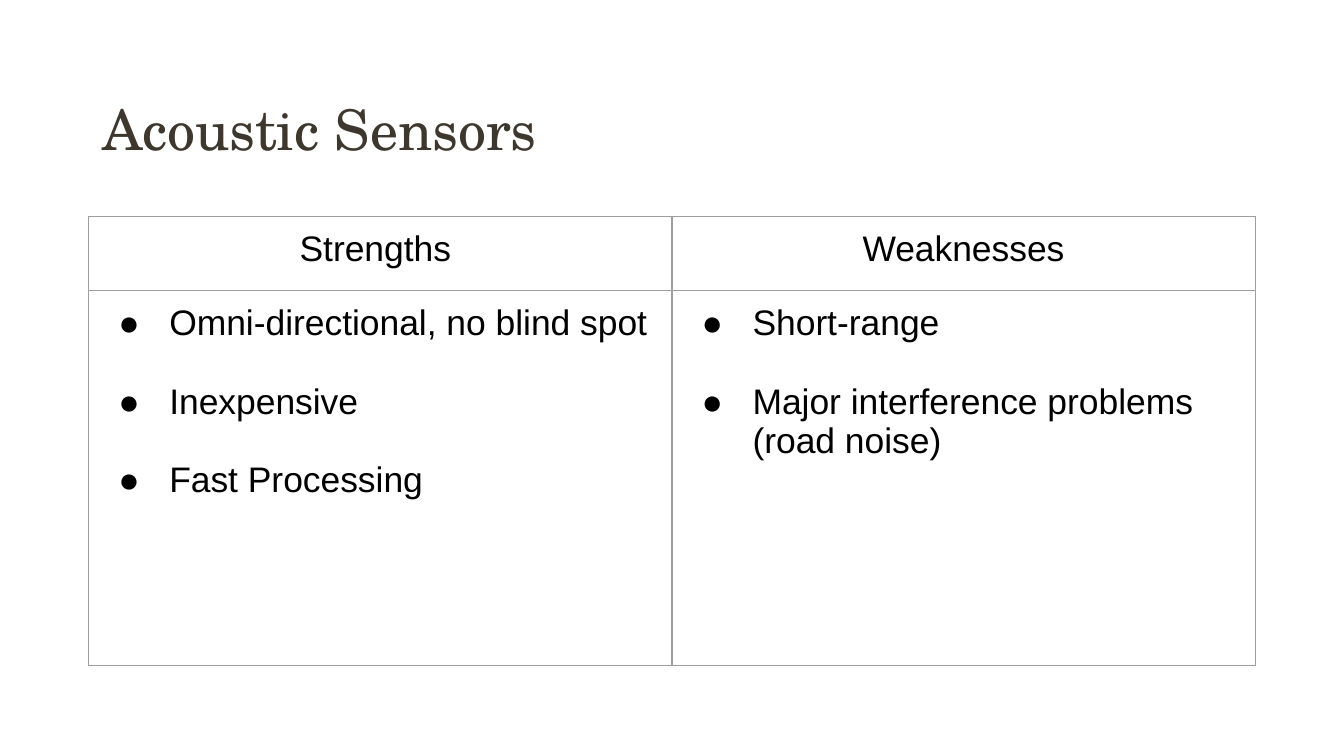
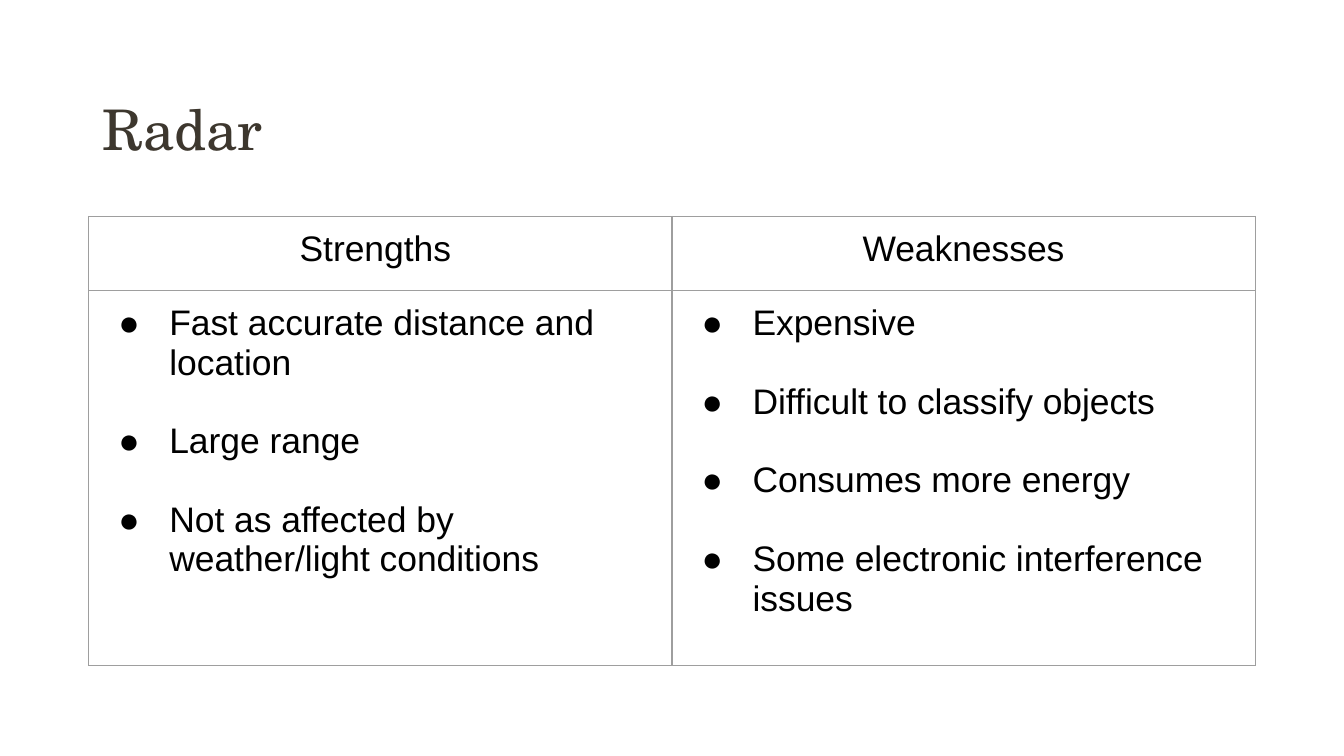
from lxml.etree import SubElement
from pptx import Presentation
from pptx.dml.color import RGBColor
from pptx.enum.text import MSO_ANCHOR, PP_ALIGN
from pptx.oxml.ns import qn
from pptx.util import Inches, Pt

COLORS = {"title": "3D372E", "text": "000000", "border": "9E9E9E"}
TITLE_FONT, BODY_FONT = "TeX Gyre Schola", "Arial"
TITLE_BOX = (0.69, 0.31, 8.62, 0.94)
TABLE_BOX = (0.66, 1.61, 8.68, 3.34)
HEADER_HEIGHT = 0.55
# The trailing space belongs to the heading and shifts its centring.
HEADERS = ("Strengths ", "Weaknesses")

SENSORS = [
    ("Acoustic Sensors",
     ["Omni-directional, no blind spot", "Inexpensive", "Fast Processing"],
     ["Short-range", "Major interference problems (road noise)"]),
    ("Radar",
     ["Fast accurate distance and location", "Large range",
      "Not as affected by weather/light conditions"],
     ["Expensive", "Difficult to classify objects", "Consumes more energy",
      "Some electronic interference issues"]),
]


def add_bullet(p):
    pPr = p._p.get_or_add_pPr()
    pPr.set("marL", str(Inches(0.5)))
    pPr.set("indent", str(Inches(-0.38)))
    color = SubElement(pPr, qn("a:buClr"))
    SubElement(color, qn("a:srgbClr"), val=COLORS["text"])
    SubElement(pPr, qn("a:buFont"), typeface=BODY_FONT)
    SubElement(pPr, qn("a:buChar"), char="●")


def write(tf, lines, font=BODY_FONT, size=19, color="text",
          align=PP_ALIGN.LEFT, bullets=False, gap=0, spacing=None):
    """Fill a text frame, one paragraph a line, with gap points between."""
    tf.word_wrap = True
    for i, line in enumerate(lines):
        p = tf.add_paragraph() if i else tf.paragraphs[0]
        if bullets:
            add_bullet(p)
        p.alignment = align
        p.line_spacing = spacing
        if i and gap:
            p.space_before = Pt(gap)
        r = p.add_run()
        r.text = line
        r.font.name = font
        r.font.size = Pt(size)
        r.font.color.rgb = RGBColor.from_string(COLORS[color])


def add_title(s, box, text):
    tf = s.shapes.add_textbox(*map(Inches, box)).text_frame
    tf.vertical_anchor = MSO_ANCHOR.BOTTOM
    tf.margin_left = tf.margin_right = Inches(0.07)
    tf.margin_top = tf.margin_bottom = Inches(0.04)
    write(tf, [text], font=TITLE_FONT, size=30, color="title", spacing=0.9)


def style_cell(cell):
    cell.margin_left = cell.margin_right = Inches(0.1)
    cell.margin_top = cell.margin_bottom = Inches(0.1)
    tcPr = cell._tc.get_or_add_tcPr()
    for side in ("lnL", "lnR", "lnT", "lnB"):
        line = SubElement(tcPr, qn(f"a:{side}"), w=str(Pt(0.75)))
        fill = SubElement(line, qn("a:solidFill"))
        SubElement(fill, qn("a:srgbClr"), val=COLORS["border"])
    cell.fill.background()


def add_comparison(s, box, columns):
    """Add a table with a heading and a bulleted list in each column."""
    table = s.shapes.add_table(2, len(columns), *map(Inches, box)).table
    table.first_row = table.horz_banding = False
    table.rows[0].height = Inches(HEADER_HEIGHT)
    table.rows[1].height = Inches(box[3] - HEADER_HEIGHT)
    for col, (header, points) in enumerate(zip(HEADERS, columns)):
        head, body = table.cell(0, col), table.cell(1, col)
        for cell in (head, body):
            style_cell(cell)
        write(head.text_frame, [header], align=PP_ALIGN.CENTER)
        write(body.text_frame, points, bullets=True, gap=21)


def main():
    prs = Presentation()
    prs.slide_width = Inches(10)
    prs.slide_height = prs.slide_width * 9 // 16
    for title, strengths, weaknesses in SENSORS:
        s = prs.slides.add_slide(prs.slide_layouts[6])
        add_title(s, TITLE_BOX, title)
        add_comparison(s, TABLE_BOX, (strengths, weaknesses))
    prs.save("out.pptx")


if __name__ == "__main__":
    main()
